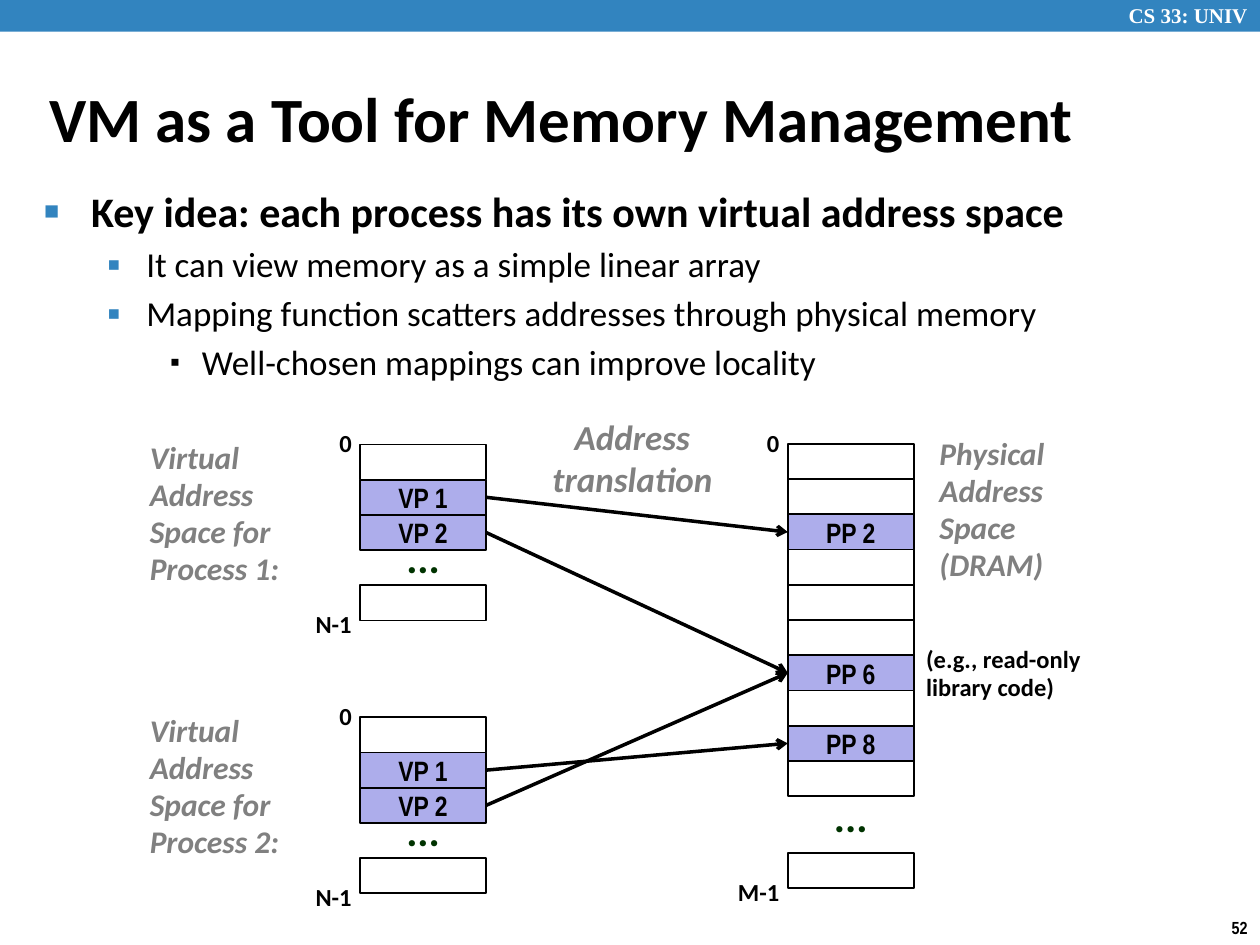
import lxml.etree
import pptx
import pptx.dml.color
import pptx.enum.shapes
import pptx.enum.text
import pptx.oxml.ns
import pptx.util

Cm = pptx.util.Cm
Pt = pptx.util.Pt
ALIGN = pptx.enum.text.PP_ALIGN
ANCHOR = pptx.enum.text.MSO_ANCHOR

COLORS = {
    "band": "3284BF",
    "page": "ADADEB",
    "ink": "000000",
    "caption": "808080",
    "gap": "003300",
    "white": "FFFFFF",
}
CELL_WIDTH = 2.54
ROW = 0.71
VIRTUAL_LEFT = 7.26
PHYSICAL_LEFT = 15.88
PHYSICAL_TOP = 8.95

BULLETS = [
    (0, "Key idea: each process has its own virtual address space"),
    (1, "It can view memory as a simple linear array"),
    (1, "Mapping function scatters addresses through physical memory"),
    (2, "Well-chosen mappings can improve locality"),
]
BULLET_LEVELS = [
    {"size": 24, "bold": True, "margin": 0.95, "hang": 0.95,
     "char": "■", "color": "band", "scale": 60},
    {"size": 20, "bold": False, "margin": 2.06, "hang": 0.79,
     "char": "▪", "color": "band", "scale": 110},
    {"size": 20, "bold": False, "margin": 3.18, "hang": 0.64,
     "char": "▪", "color": "ink", "scale": 80},
]


def rgb(color):
    return pptx.dml.color.RGBColor.from_string(COLORS[color])


def sub(parent, tag, **attributes):
    return lxml.etree.SubElement(parent, pptx.oxml.ns.qn(tag), attributes)


def add_run(paragraph, text, size, color="ink", font="Calibri", bold=True, italic=False):
    run = paragraph.add_run()
    run.text = text
    run.font.size = Pt(size)
    run.font.name = font
    run.font.bold = bold
    run.font.italic = italic
    run.font.color.rgb = rgb(color)


def add_frame(slide, left, top, width, height):
    frame = slide.shapes.add_textbox(Cm(left), Cm(top), Cm(width), Cm(height)).text_frame
    frame.word_wrap = True
    return frame


def add_text(slide, box, lines, size, align=ALIGN.LEFT, spacing=None, before=0,
             anchor=ANCHOR.TOP, **style):
    frame = add_frame(slide, *box)
    frame.vertical_anchor = anchor
    for index, line in enumerate(lines):
        paragraph = frame.add_paragraph() if index else frame.paragraphs[0]
        paragraph.alignment = align
        paragraph.space_before = Pt(before)
        if spacing:
            paragraph.line_spacing = spacing
        add_run(paragraph, line, size, **style)


def add_bullets(slide, box):
    frame = add_frame(slide, *box)
    for index, (depth, text) in enumerate(BULLETS):
        level = BULLET_LEVELS[depth]
        paragraph = frame.add_paragraph() if index else frame.paragraphs[0]
        paragraph.level = depth
        paragraph.space_before = Pt(level["size"] * 0.2)
        add_run(paragraph, text, level["size"], bold=level["bold"])
        properties = paragraph._p.get_or_add_pPr()
        properties.set("marL", str(Cm(level["margin"])))
        properties.set("indent", str(-Cm(level["hang"])))
        sub(sub(properties, "a:buClr"), "a:srgbClr", val=COLORS[level["color"]])
        sub(properties, "a:buSzPct", val=str(level["scale"] * 1000))
        sub(properties, "a:buFont", typeface="Arial")
        sub(properties, "a:buChar", char=level["char"])


def add_box(slide, left, top, width, height, fill=None, line=None):
    box = slide.shapes.add_shape(
        pptx.enum.shapes.MSO_SHAPE.RECTANGLE, Cm(left), Cm(top), Cm(width), Cm(height))
    box.shadow.inherit = False
    if fill:
        box.fill.solid()
        box.fill.fore_color.rgb = rgb(fill)
    else:
        box.fill.background()
    if line:
        box.line.color.rgb = rgb(line)
        box.line.width = Pt(1)
    else:
        box.line.fill.background()
    return box


def add_cell(slide, left, top, page=None):
    cell = add_box(slide, left, top, CELL_WIDTH, ROW, "page" if page else None, "ink")
    if page:
        frame = cell.text_frame
        frame.margin_top = frame.margin_bottom = 0
        frame.vertical_anchor = ANCHOR.MIDDLE
        frame.paragraphs[0].alignment = ALIGN.CENTER
        add_run(frame.paragraphs[0], page, 16, font="Arial Narrow")


def add_address_space(slide, left, top, rows, pages, gap_top, last_top, last_address):
    for row in range(rows):
        add_cell(slide, left, top + row * ROW, pages.get(row))
    add_cell(slide, left, last_top)
    add_text(slide, (left, gap_top, CELL_WIDTH, 1.14), ["..."], 24, ALIGN.CENTER,
             spacing=0.88, before=9, color="gap")
    for address, label_top in (("0", top - 0.42), (last_address, last_top + 0.38)):
        add_text(slide, (left - 1.72, label_top, 1.8, 0.84), [address], 14,
                 ALIGN.RIGHT, spacing=0.98)


def add_mapping(slide, virtual_top, virtual_row, physical_row):
    mapping = slide.shapes.add_connector(
        pptx.enum.shapes.MSO_CONNECTOR.STRAIGHT,
        Cm(VIRTUAL_LEFT + CELL_WIDTH), Cm(virtual_top + (virtual_row + 0.5) * ROW),
        Cm(PHYSICAL_LEFT), Cm(PHYSICAL_TOP + (physical_row + 0.5) * ROW))
    mapping.line.color.rgb = rgb("ink")
    mapping.line.width = Pt(2)
    sub(mapping.line._get_or_add_ln(), "a:tailEnd", type="arrow")
    sub(mapping._element.spPr, "a:effectLst")


def main():
    deck = pptx.Presentation()
    deck.slide_width, deck.slide_height = Cm(25.4), Cm(19.05)
    slide = deck.slides.add_slide(deck.slide_layouts[6])

    add_box(slide, 0, 0, 25.4, 0.64, "band")
    add_text(slide, (20.4, -0.08, 5, 0.76), ["CS 33: UNIV"], 12, ALIGN.RIGHT,
             font="Times New Roman", color="white")
    add_text(slide, (23.4, 18.36, 2, 0.68), ["52"], 10, ALIGN.RIGHT, font="Arial Narrow")
    add_text(slide, (0.74, 1.57, 23.93, 1.6), ["VM as a Tool for Memory Management"],
             36, anchor=ANCHOR.MIDDLE)
    add_bullets(slide, (0.64, 3.61, 21.82, 3.5))

    caption = {"size": 18, "spacing": 0.98, "color": "caption", "italic": True}
    processes = [(1, 8.96, [5, 6]), (2, 14.46, [8, 6])]
    for process, top, _ in processes:
        add_text(slide, (2.77, top - 0.22, 3.81, 3.25),
                 [f"Virtual Address Space for Process {process}:"], **caption)
        add_address_space(slide, VIRTUAL_LEFT, top, 3, {1: "VP 1", 2: "VP 2"},
                          top + 1.76, top + 4 * ROW, "N-1")

    add_address_space(slide, PHYSICAL_LEFT, PHYSICAL_TOP, 10,
                      {row: f"PP {row}" for row in (2, 6, 8)}, 15.95, 17.2, "M-1")
    add_text(slide, (18.69, 8.66, 2.97, 3.28), ["Physical", "Address", "Space (DRAM)"],
             **caption)
    add_text(slide, (18.42, 12.88, 4.04, 1.42), ["(e.g., read-only", "library code)"],
             14, spacing=0.98)

    for (_, top, _), frames in zip(processes, ([2, 6], [8, 6])):
        for row, physical_row in enumerate(frames, start=1):
            add_mapping(slide, top, row, physical_row)
    add_text(slide, (10.5, 8.26, 4.5, 1.96), ["Address", "translation"], 20,
             ALIGN.CENTER, color="caption", italic=True)

    deck.save("out.pptx")


main()
